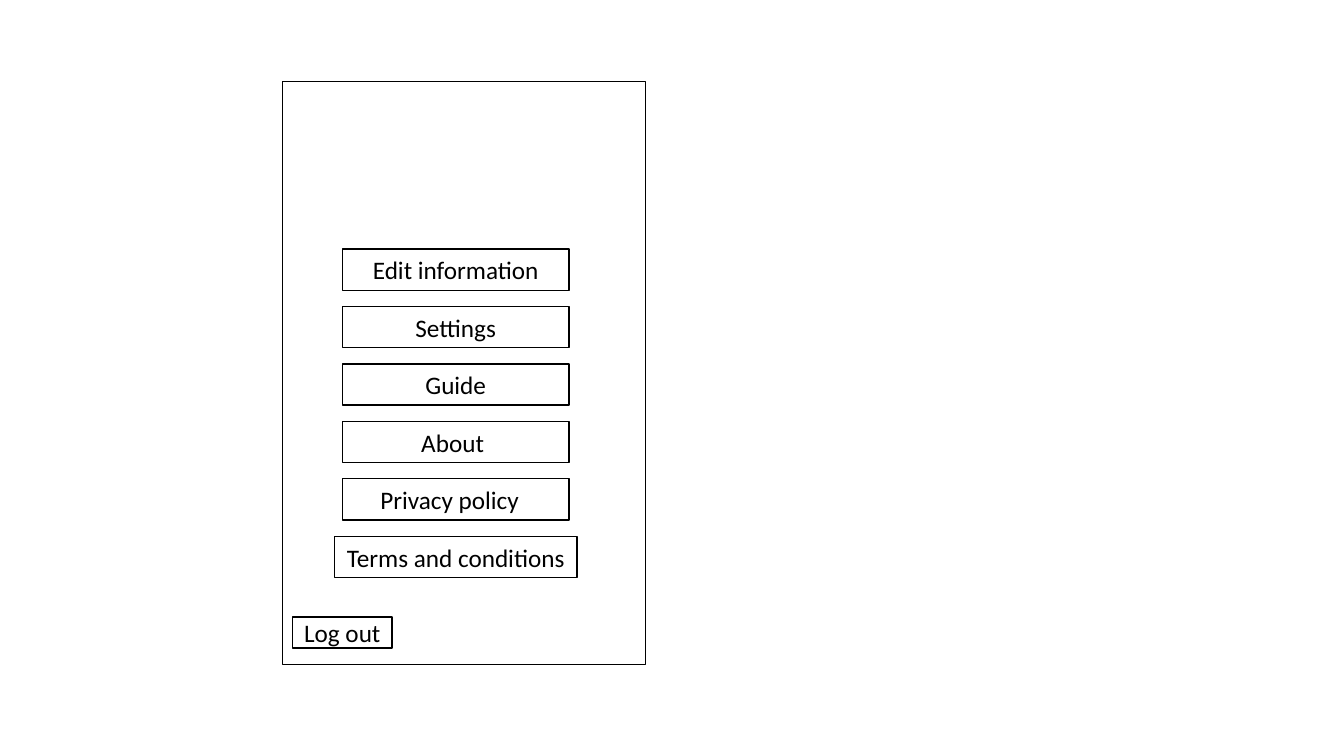
from pptx import Presentation
from pptx.dml.color import RGBColor as RGB
from pptx.enum.shapes import MSO_SHAPE as SHAPE
from pptx.enum.text import MSO_ANCHOR as ANCHOR, PP_ALIGN as ALIGN
from pptx.util import Inches, Pt

COLORS = {"paper": "FFFFFF", "ink": "000000"}
FONT = "Calibri"
MENU = [
    ("Edit information", 2.25, 0),
    ("Settings", 2.25, 0),
    ("Guide", 2.25, 0),
    ("About", 2.25, 0.06),
    ("Privacy policy", 2.25, 0.12),
    ("Terms and conditions", 2.41, 0),
]
MENU_CENTER, MENU_TOP, MENU_STEP, BUTTON_HEIGHT = 4.52, 2.47, 0.57, 0.41


class Wireframe:
    """Draws outlined boxes and buttons on one slide."""

    def __init__(self, slide):
        self.slide = slide

    def box(self, left, top, width, height):
        s = self.slide.shapes.add_shape(
            SHAPE.RECTANGLE, Inches(left), Inches(top), Inches(width), Inches(height)
        )
        s.shadow.inherit = False
        s.fill.solid()
        s.fill.fore_color.rgb = RGB.from_string(COLORS["paper"])
        s.line.color.rgb = RGB.from_string(COLORS["ink"])
        s.line.width = Pt(1)
        return s

    def button(self, text, left, top, width, height, extra_right=0):
        s = self.box(left, top, width, height)
        tf = s.text_frame
        tf.word_wrap = True
        tf.vertical_anchor = ANCHOR.MIDDLE
        tf.margin_right = Inches(0.1 + extra_right)
        p = tf.paragraphs[0]
        p.text = text
        p.alignment = ALIGN.CENTER
        p.font.name = FONT
        p.font.size = Pt(18)
        p.font.color.rgb = RGB.from_string(COLORS["ink"])
        return s


def main():
    prs = Presentation()
    prs.slide_width, prs.slide_height = Inches(13.33), Inches(7.5)
    wire = Wireframe(prs.slides.add_slide(prs.slide_layouts[6]))
    wire.box(2.8, 0.81, 3.6, 5.78)
    for i, (text, width, extra_right) in enumerate(MENU):
        wire.button(text, MENU_CENTER - width / 2, MENU_TOP + i * MENU_STEP,
                    width, BUTTON_HEIGHT, extra_right)
    wire.button("Log out", 2.9, 6.12, 0.99, 0.31)
    prs.save("out.pptx")


if __name__ == "__main__":
    main()
